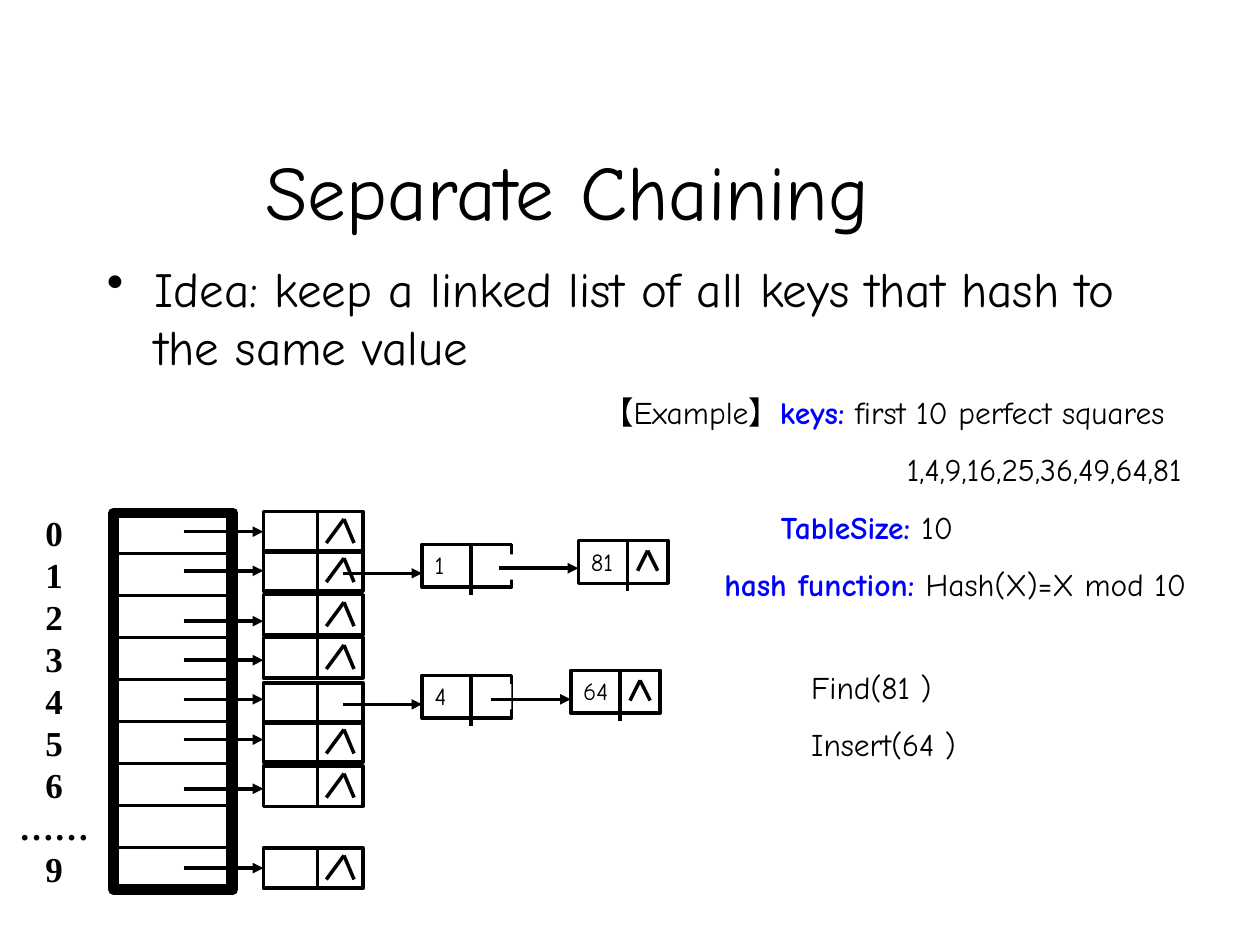
from dataclasses import dataclass

from lxml import etree
from pptx import Presentation
from pptx.dml.color import RGBColor
from pptx.enum.shapes import MSO_CONNECTOR, MSO_SHAPE
from pptx.enum.text import MSO_ANCHOR, PP_ALIGN
from pptx.oxml.ns import qn
from pptx.util import Inches, Pt

LINE, RECT = MSO_CONNECTOR.STRAIGHT, MSO_SHAPE.RECTANGLE
TOP, MID, BASE = MSO_ANCHOR.TOP, MSO_ANCHOR.MIDDLE, MSO_ANCHOR.BOTTOM
LEFT, MIDST = PP_ALIGN.LEFT, PP_ALIGN.CENTER
LEFT_SIDE = 1


@dataclass(frozen=True)
class Theme:
    ink = RGBColor(0, 0, 0)
    blue = RGBColor(0, 0, 255)
    paper = RGBColor(255, 255, 255)
    hand = "Comic Neue"
    serif = "Times New Roman"
    title = Pt(44)
    body = Pt(28)
    index = Pt(20)
    note = Pt(18)
    key = Pt(14)
    thin = Pt(2)
    thick = Pt(6)


@dataclass(frozen=True)
class Node:
    w: float
    h: float
    bar: float
    drop: float
    peak: tuple
    feet: tuple
    foot: float


SLOT = Node(0.79, 0.32, 0.43, 0.32, (0.64, 0.06), (0.5, 0.72), 0.25)
LINK = Node(0.71, 0.34, 0.39, 0.4, (0.55, 0.08), (0.47, 0.63), 0.24)


class Deck:
    def __init__(self, theme):
        self.look = theme
        self.prs = Presentation()
        self.prs.slide_width, self.prs.slide_height = Inches(10), Inches(7.5)
        self.page = self.prs.slides.add_slide(self.prs.slide_layouts[6])

    def fill_text(self, frame, lines, size, face=None, bold=False,
                  align=LEFT, anchor=TOP, gap=0):
        setup = {"word_wrap": True, "vertical_anchor": anchor,
                 "margin_left": Inches(0.1), "margin_right": Inches(0.1),
                 "margin_top": Inches(0.05), "margin_bottom": Inches(0.05)}
        for name, value in setup.items():
            setattr(frame, name, value)
        for i, (indent, runs) in enumerate(lines):
            para = frame.add_paragraph() if i else frame.paragraphs[0]
            para.alignment = align
            para.space_before = Pt(gap if i else 0)
            if indent:
                para._p.get_or_add_pPr().set("marL", str(Inches(indent)))
            for text, mark in runs:
                run = para.add_run()
                run.text = text
                form = {"size": size, "name": face or self.look.hand,
                        "bold": bold or mark}
                for name, value in form.items():
                    setattr(run.font, name, value)
                run.font.color.rgb = self.look.blue if mark else self.look.ink

    def text(self, box, lines, size, **form):
        shape = self.page.shapes.add_textbox(*map(Inches, box))
        self.fill_text(shape.text_frame, lines, size, **form)
        return shape

    def bullet(self, box, text):
        shape = self.text(box, [(0.38, [(text, False)])], self.look.body)
        props = shape.text_frame.paragraphs[0]._p.get_or_add_pPr()
        props.set("indent", str(Inches(-0.38)))
        etree.SubElement(props, qn("a:buChar")).set("char", "•")

    def rect(self, box, width):
        shape = self.page.shapes.add_shape(RECT, *map(Inches, box))
        shape.shadow.inherit = False
        shape.fill.background()
        shape.line.color.rgb = self.look.ink
        shape.line.width = width
        return shape

    def patch(self, box):
        shape = self.rect(box, self.look.thin)
        shape.fill.solid()
        shape.fill.fore_color.rgb = self.look.paper
        shape.line.fill.background()

    def line(self, x1, y1, x2, y2):
        wire = self.page.shapes.add_connector(LINE, *map(Inches, (x1, y1, x2, y2)))
        wire.line.color.rgb = self.look.ink
        wire.line.width = self.look.thin
        etree.SubElement(wire._element.spPr, qn("a:effectLst"))
        return wire

    def arrow(self, x, y, goal=None):
        wire = self.line(x, y, x + 0.63, y)
        etree.SubElement(wire.line._get_or_add_ln(), qn("a:tailEnd")).set("type", "triangle")
        if goal is not None:
            wire.end_connect(goal, LEFT_SIDE)

    def node(self, kind, x, y, key=None, null=True):
        shape = self.rect((x, y, kind.w, kind.h), self.look.thin)
        if key:
            self.fill_text(shape.text_frame, [(0, [(key, False)])], self.look.key)
        self.line(x + kind.bar, y, x + kind.bar, y + kind.drop)
        if null:
            px, py = kind.peak
            for foot in kind.feet:
                self.line(x + px, y + py, x + foot, y + kind.foot)
        return shape


def main():
    look = Theme()
    deck = Deck(look)
    deck.text((0.75, 0.17, 7.51, 1.75), [(0, [("Separate Chaining", False)])],
              look.title, align=MIDST, anchor=BASE)
    deck.bullet((0.75, 2, 8.42, 1),
                "Idea: keep a linked list of all keys that hash to the same value")

    pitch = 1 / 3
    for i, name in enumerate(["0", "1", "2", "3", "4", "5", "6", "……", "9"]):
        y = 4.06 + i * pitch
        deck.rect((0.89, y, 0.92, pitch), look.thin)
        deck.text((0.02, y, 0.82, pitch), [(0, [(name, False)])], look.index,
                  face=look.serif, bold=True, align=MIDST, anchor=MID)
    deck.rect((0.9, 4.07, 0.95, 2.99), look.thick)

    slots = [(4.06, 4.22), (4.37, 4.53), (4.72, 4.93), (5.06, 5.24),
             (5.42, 5.55), (5.73, 5.87), (6.08, 6.26), (6.73, 6.89)]
    for i, (top, y) in enumerate(slots):
        slot = deck.node(SLOT, 2.09, top, null=i != 4)
        joined = abs(top + SLOT.h / 2 - y) < 0.01
        deck.arrow(1.46, y, slot if joined else None)

    chains = [("1", 4.32, 4.55, "81", 4.59, 4.29, 4.51, (3.8, 4.4)),
              ("4", 5.36, 5.59, "64", 4.53, 5.32, 5.55, (3.78, 5.43))]
    for key, top, y, last, x, end, low, gap in chains:
        deck.arrow(2.72, y)
        deck.node(LINK, 3.35, top, key, null=False)
        deck.patch((*gap, 0.28, 0.2))
        deck.arrow(x - 0.63, low)
        deck.node(LINK, x, end, last)

    deck.text((4.68, 3.07, 5.3, 1.8), [
        (0, [("【Example】", False), ("keys:", True),
             (" first 10 perfect squares", False)]),
        (2.42, [("1,4,9,16,25,36,49,64,81", False)]),
        (1.42, [("TableSize: ", True), ("10", False)]),
        (0.97, [("hash function: ", True), ("Hash(X)=X mod 10", False)]),
    ], look.note, gap=11.2)
    deck.text((6.34, 5.25, 2.84, 0.86),
              [(0, [(call, False)]) for call in ("Find(81 )", "Insert(64 )")],
              look.note, gap=11.2)
    deck.prs.save("out.pptx")


if __name__ == "__main__":
    main()
